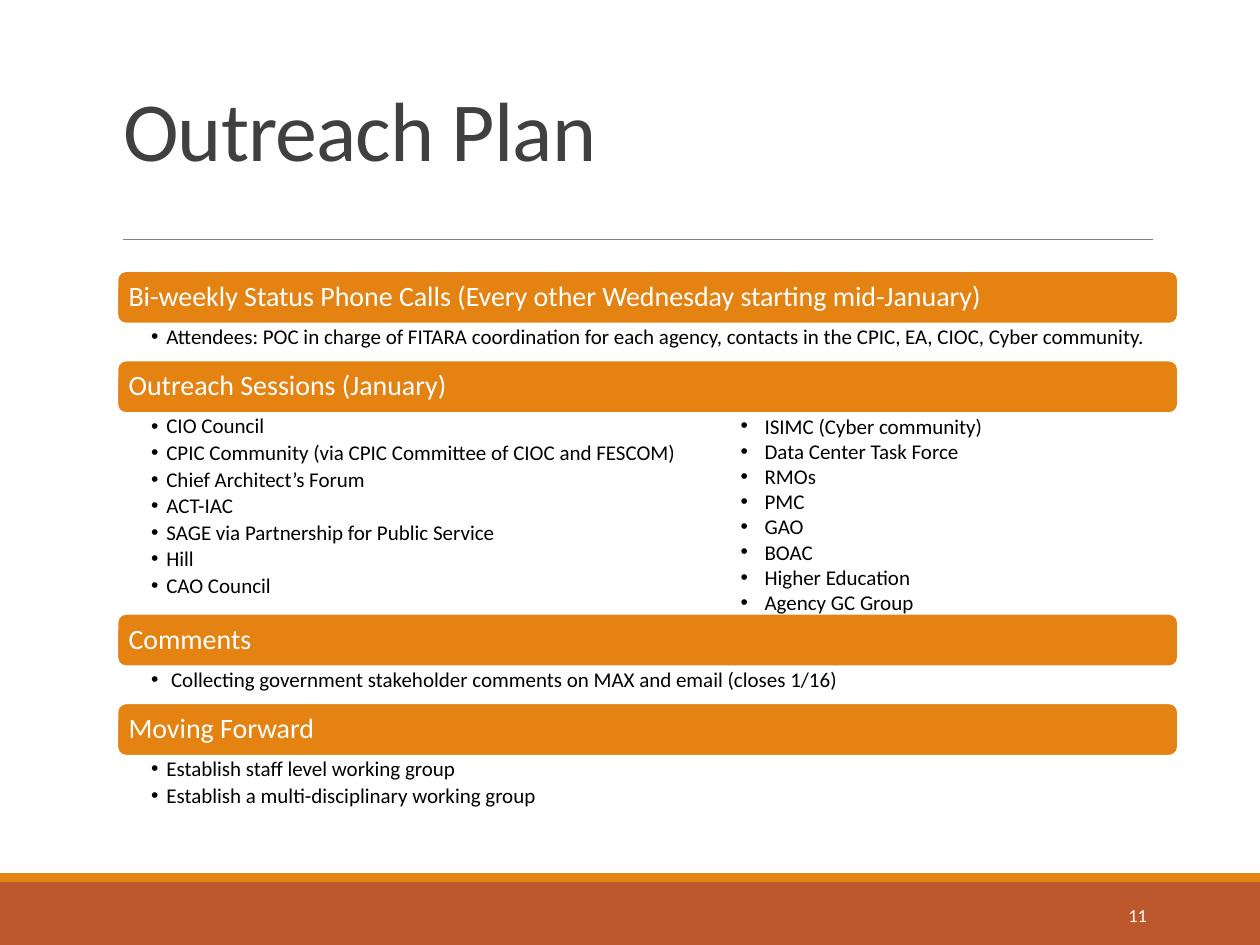
from dataclasses import dataclass

from lxml import etree
from pptx import Presentation
from pptx import util as u
from pptx.dml.color import RGBColor
from pptx.enum import shapes, text
from pptx.oxml import ns


@dataclass(frozen=True)
class Theme:
    """Colours, type sizes and font of the deck."""
    font: str = "Calibri"
    orange: str = "E48312"
    rust: str = "BD582C"
    rule: str = "808080"
    heading: str = "404040"
    ink: str = "000000"
    white: str = "FFFFFF"
    title_size: float = 48
    bar_size: float = 16
    body_size: float = 12
    number_size: float = 10.5


@dataclass(frozen=True)
class Box:
    """A region measured in columns and rows of the slide grid."""
    left: float
    top: float
    width: float
    height: float

    def lengths(self):
        """Return the four lengths in slide units."""
        return [cells(value) for value in (self.left, self.top, self.width, self.height)]


THEME = Theme()
COLUMNS, ROWS = 100, 75
CELL = u.Inches(0.1)
BAR_ROWS = 4.2
SECTIONS = [
    ("Bi-weekly Status Phone Calls (Every other Wednesday starting mid-January)", 2.9,
     ["Attendees: POC in charge of FITARA coordination for each agency, "
      "contacts in the CPIC, EA, CIOC, Cyber community."]),
    ("Outreach Sessions (January)", 15.9,
     ["CIO Council", "CPIC Community (via CPIC Committee of CIOC and FESCOM)",
      "Chief Architect’s Forum", "ACT-IAC", "SAGE via Partnership for Public Service",
      "Hill", "CAO Council"]),
    ("Comments", 2.9,
     [" Collecting government stakeholder comments on MAX and email (closes 1/16)"]),
    ("Moving Forward", 4.5,
     ["Establish staff level working group", "Establish a multi-disciplinary working group"]),
]
MORE_SESSIONS = ["ISIMC (Cyber community)", "Data Center Task Force", "RMOs", "PMC", "GAO",
                 "BOAC", "Higher Education", "Agency GC Group"]


def cells(count):
    """Convert a count of grid cells to a slide length."""
    return u.Emu(round(count * CELL))


def style(para, size, color, spacing=1.0):
    """Format a paragraph and its runs."""
    para.line_spacing = spacing
    for span in para.runs:
        span.font.name = THEME.font
        span.font.size = u.Pt(size)
        span.font.color.rgb = RGBColor.from_string(color)


def set_frame(frame, anchor, insets):
    """Set wrapping, anchor and insets (left, top, right, bottom in cells)."""
    frame.word_wrap = True
    frame.vertical_anchor = anchor
    (frame.margin_left, frame.margin_top,
     frame.margin_right, frame.margin_bottom) = map(cells, insets)


def add_panel(page, box, color, kind=shapes.MSO_SHAPE.RECTANGLE):
    """Add a plain filled shape."""
    panel = page.shapes.add_shape(kind, *box.lengths())
    panel.shadow.inherit = False
    panel.fill.solid()
    panel.fill.fore_color.rgb = RGBColor.from_string(color)
    panel.line.fill.background()
    return panel


def add_label(page, box, words, size, color, anchor, spacing=1.0):
    """Add a one-paragraph text box and return its paragraph."""
    frame = page.shapes.add_textbox(*box.lengths()).text_frame
    set_frame(frame, anchor, (1, 0.5, 1, 0.5))
    frame.text = words
    para = frame.paragraphs[0]
    style(para, size, color, spacing)
    return para


def add_bullets(page, box, items, insets, indent, spacing=1.0, after=0):
    """Add a bulleted list with a hanging indent in cells."""
    frame = page.shapes.add_textbox(*box.lengths()).text_frame
    set_frame(frame, text.MSO_ANCHOR.TOP, insets)
    frame.text = "\n".join(items)
    for para in frame.paragraphs:
        properties = para._p.get_or_add_pPr()
        properties.set("marL", str(cells(indent)))
        properties.set("indent", str(-cells(indent)))
        font = etree.SubElement(properties, ns.qn("a:buFont"))
        font.set("typeface", "Arial")
        etree.SubElement(properties, ns.qn("a:buChar")).set("char", "•")
        para.space_after = u.Pt(after)
        style(para, THEME.body_size, THEME.ink, spacing)


def add_header(page, box):
    """Place the title above a thin rule at the bottom of the box."""
    title = Box(box.left - 1, box.top, box.width + 0.8, box.height - 4.3)
    para = add_label(page, title, "Outreach Plan", THEME.title_size, THEME.heading,
                     text.MSO_ANCHOR.BOTTOM, 0.85)
    para.runs[0].font._element.set("spc", "-50")
    bottom = cells(box.top + box.height)
    rule = page.shapes.add_connector(shapes.MSO_CONNECTOR.STRAIGHT, cells(box.left), bottom,
                                     cells(box.left + box.width), bottom)
    rule.line.color.rgb = RGBColor.from_string(THEME.rule)
    rule.line.width = u.Pt(0.5)
    etree.SubElement(rule._element.spPr, ns.qn("a:effectLst"))


def add_section(page, box, heading, items):
    """Place a heading bar with its bullets below."""
    bar = add_panel(page, Box(box.left, box.top, box.width, BAR_ROWS), THEME.orange,
                    shapes.MSO_SHAPE.ROUNDED_RECTANGLE)
    bar.line.color.rgb = RGBColor.from_string(THEME.white)
    bar.line.width = u.Pt(1.25)
    set_frame(bar.text_frame, text.MSO_ANCHOR.MIDDLE, (0.7,) * 4)
    bar.text_frame.text = heading
    para = bar.text_frame.paragraphs[0]
    para.alignment = text.PP_ALIGN.LEFT
    style(para, THEME.bar_size, THEME.white, 0.9)
    body = Box(box.left, box.top + BAR_ROWS, box.width, box.height - BAR_ROWS)
    add_bullets(page, body, items, (2.7, 0.2, 1.2, 0.2), 1.2, 0.9, 2.2)


def add_plan(page, box):
    """Stack the sections and set the second session list beside the first."""
    top = box.top
    for heading, body_rows, items in SECTIONS:
        height = BAR_ROWS + body_rows
        add_section(page, Box(box.left, top, box.width, height), heading, items)
        top += height
    second = Box(box.left + 48.5, box.top + 10.8, 23.4, 18.4)
    add_bullets(page, second, MORE_SESSIONS, (1, 0.5, 1, 0.5), 1.9)


def add_footer(page, box):
    """Place the two footer bands and the page number."""
    stripe = 0.7
    add_panel(page, Box(box.left, box.top + stripe, box.width, box.height - stripe), THEME.rust)
    add_panel(page, Box(box.left, box.top, box.width, stripe), THEME.orange)
    number = Box(box.left + 81.2, box.top + 1.3, 10.8, 4)
    para = add_label(page, number, "11", THEME.number_size, THEME.white, text.MSO_ANCHOR.MIDDLE)
    para.alignment = text.PP_ALIGN.RIGHT


def main():
    """Build the slide and save the deck."""
    deck = Presentation()
    deck.slide_width, deck.slide_height = cells(COLUMNS), cells(ROWS)
    page = deck.slides.add_slide(deck.slide_layouts[6])
    add_footer(page, Box(0, 69.3, COLUMNS, 5.7))
    add_header(page, Box(9.8, -1.2, 81.7, 20.2))
    add_plan(page, Box(9.3, 21.5, 84.2, 43))
    deck.save("out.pptx")


if __name__ == "__main__":
    main()
